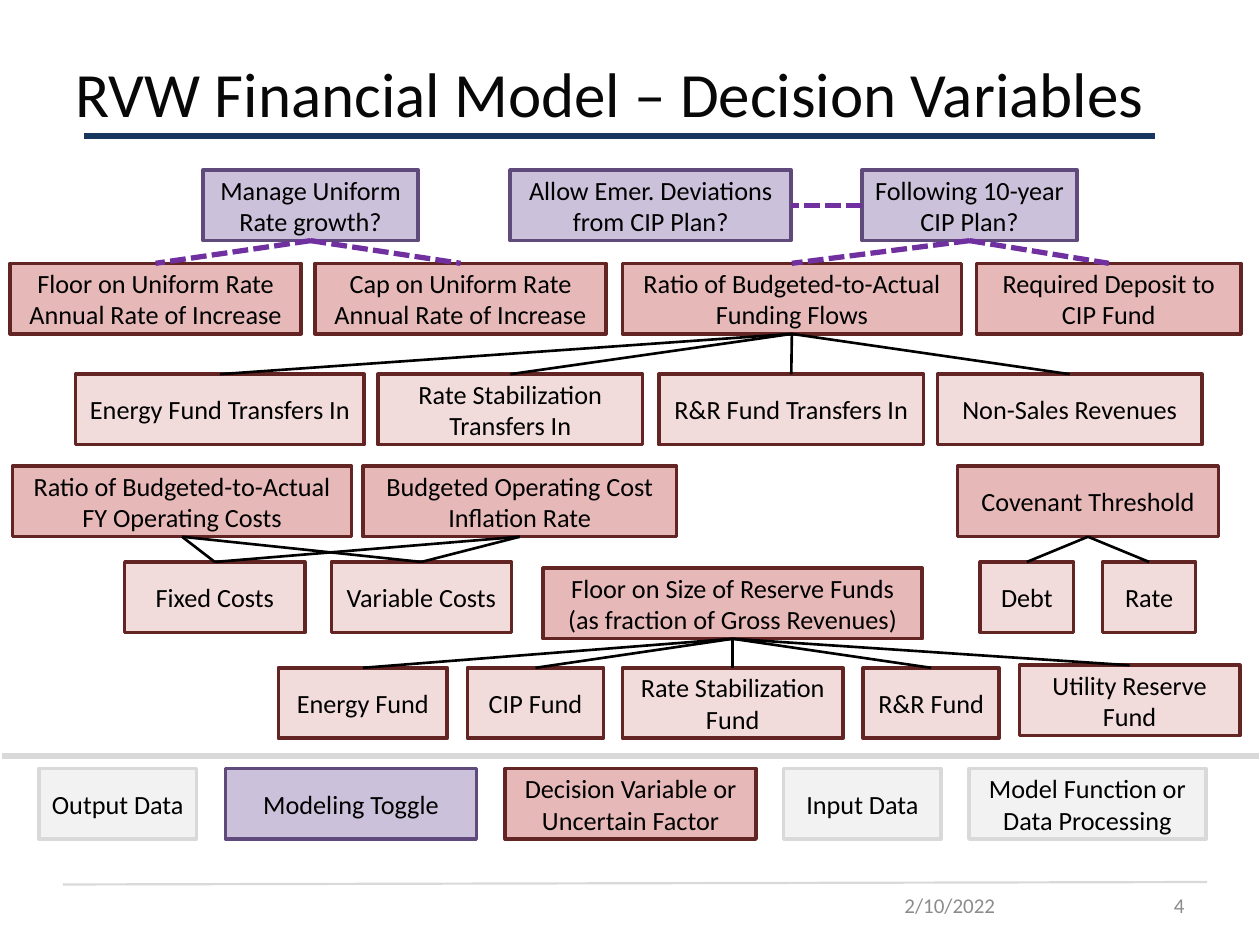
from pptx import Presentation
from pptx.dml.color import RGBColor
from pptx.enum.dml import MSO_LINE
from pptx.enum.shapes import MSO_CONNECTOR, MSO_SHAPE
from pptx.enum.text import MSO_ANCHOR, MSO_AUTO_SIZE, PP_ALIGN
from pptx.oxml.ns import qn
from pptx.util import Pt
from lxml.etree import SubElement

PX = 9144
BOX_H = 56
INSET = 8
FONT = "Calibri"

BLACK = RGBColor(0x00, 0x00, 0x00)
INK = RGBColor(0x08, 0x08, 0x08)
GRAY = RGBColor(0x8C, 0x8C, 0x8C)
SILVER = RGBColor(0xD9, 0xD9, 0xD9)
PALE = RGBColor(0xF2, 0xF2, 0xF2)
NAVY = RGBColor(0x17, 0x37, 0x5E)
LILAC = RGBColor(0xCC, 0xC1, 0xDA)
PLUM = RGBColor(0x60, 0x4A, 0x7B)
VIOLET = RGBColor(0x70, 0x30, 0xA0)
ROSE = RGBColor(0xE6, 0xB9, 0xB8)
BLUSH = RGBColor(0xF2, 0xDC, 0xDB)
MAROON = RGBColor(0x63, 0x25, 0x23)

TOGGLE = (LILAC, PLUM)
DECISION = (ROSE, MAROON)
DETAIL = (BLUSH, MAROON)
NEUTRAL = (PALE, SILVER)

TITLE = "RVW Financial Model – Decision Variables"

MANAGE = "Manage Uniform Rate growth?"
ALLOW = "Allow Emer. Deviations from CIP Plan?"
FOLLOW = "Following 10-year CIP Plan?"
FLOOR_RATE = "Floor on Uniform Rate Annual Rate of Increase"
CAP_RATE = "Cap on Uniform Rate Annual Rate of Increase"
FLOWS = "Ratio of Budgeted-to-Actual Funding Flows"
DEPOSIT = "Required Deposit to CIP Fund"
OPERATING = "Ratio of Budgeted-to-Actual FY Operating Costs"
INFLATION = "Budgeted Operating Cost Inflation Rate"
COVENANT = "Covenant Threshold"
RESERVES = "Floor on Size of Reserve Funds (as fraction of Gross Revenues)"

ROWS = [
    (135, TOGGLE, [(161, 171, MANAGE), (405, 223, ALLOW), (684, 171, FOLLOW)]),
    (209, DECISION, [(8, 231, FLOOR_RATE), (250, 231, CAP_RATE),
                     (494, 269, FLOWS), (775, 210, DEPOSIT)]),
    (297, DETAIL, [(60, 229, "Energy Fund Transfers In"),
                   (300, 210, "Rate Stabilization Transfers In"),
                   (523, 210, "R&R Fund Transfers In"),
                   (744, 210, "Non-Sales Revenues")]),
    (370, DECISION, [(10, 269, OPERATING), (288, 249, INFLATION), (760, 207, COVENANT)]),
    (446, DETAIL, [(99, 143, "Fixed Costs"), (263, 143, "Variable Costs"),
                   (778, 74, "Debt"), (875, 74, "Rate")]),
    (451, DECISION, [(431, 301, RESERVES)]),
    (530, DETAIL, [(221, 134, "Energy Fund"), (371, 108, "CIP Fund"),
                   (494, 175, "Rate Stabilization Fund"), (685, 108, "R&R Fund")]),
    (528, DETAIL, [(809, 175, "Utility Reserve Fund")]),
    (610, NEUTRAL, [(31, 125, "Output Data"), (622, 125, "Input Data"),
                    (769, 188, "Model Function or Data Processing")]),
    (610, TOGGLE, [(179, 199, "Modeling Toggle")]),
    (610, DECISION, [(401, 199, "Decision Variable or Uncertain Factor")]),
]

TOGGLE_LINKS = {MANAGE: [FLOOR_RATE, CAP_RATE], FOLLOW: [FLOWS, DEPOSIT]}
DETAIL_LINKS = {
    FLOWS: ["Energy Fund Transfers In", "Rate Stabilization Transfers In",
            "R&R Fund Transfers In", "Non-Sales Revenues"],
    OPERATING: ["Fixed Costs", "Variable Costs"],
    INFLATION: ["Fixed Costs", "Variable Costs"],
    COVENANT: ["Debt", "Rate"],
    RESERVES: ["Energy Fund", "CIP Fund", "Rate Stabilization Fund",
               "R&R Fund", "Utility Reserve Fund"],
}

RULES = [
    ((50, 702, 958, 700), SILVER, 1.25),
    ((67, 108, 917, 108), NAVY, 3),
    ((2, 600, 999, 600), SILVER, 3),
]
FOOTER = [((708, 704, 108, 29), "2/10/2022", PP_ALIGN.LEFT),
          ((825, 704, 125, 29), "4", PP_ALIGN.RIGHT)]


def write(sp, text, size, color, align):
    tf = sp.text_frame
    tf.word_wrap = True
    tf.auto_size = MSO_AUTO_SIZE.NONE
    tf.vertical_anchor = MSO_ANCHOR.MIDDLE
    p = tf.paragraphs[0]
    p.alignment = align
    r = p.add_run()
    r.text = text
    r.font.name = FONT
    r.font.size = Pt(size)
    r.font.color.rgb = color


def add_box(s, left, top, width, text, style):
    sp = s.shapes.add_shape(MSO_SHAPE.RECTANGLE, left * PX, top * PX, width * PX, BOX_H * PX)
    sp.shadow.inherit = False
    fill, edge = style
    sp.fill.solid()
    sp.fill.fore_color.rgb = fill
    sp.line.color.rgb = edge
    sp.line.width = Pt(2)
    write(sp, text, 15, BLACK, PP_ALIGN.CENTER)
    sp.text_frame.margin_left = sp.text_frame.margin_right = INSET * PX
    return sp


def add_line(s, ends, color, width, dash=None):
    line = s.shapes.add_connector(MSO_CONNECTOR.STRAIGHT, *(v * PX for v in ends))
    line.line.color.rgb = color
    line.line.width = Pt(width)
    if dash:
        line.line.dash_style = dash
    SubElement(line.element.spPr, qn("a:effectLst"))
    return line


def join(s, start, start_side, end, end_side, color, width, dash=None):
    line = add_line(s, (0, 0, 0, 0), color, width, dash)
    line.begin_connect(start, start_side)
    line.end_connect(end, end_side)


def main():
    prs = Presentation()
    prs.slide_width, prs.slide_height = 1000 * PX, 750 * PX
    s = prs.slides.add_slide(prs.slide_layouts[5])

    title = s.shapes.title
    title.left, title.top, title.width, title.height = (v * PX for v in (50, 30, 900, 87))
    write(title, TITLE, 36, INK, PP_ALIGN.LEFT)

    for ends, color, width in RULES:
        add_line(s, ends, color, width)
    for place, text, align in FOOTER:
        write(s.shapes.add_textbox(*(v * PX for v in place)), text, 12, GRAY, align)

    boxes = {text: add_box(s, left, top, width, text, style)
             for top, style, row in ROWS for left, width, text in row}

    toggle_pen = (VIOLET, 3, MSO_LINE.SQUARE_DOT)
    for links, pen in ((TOGGLE_LINKS, toggle_pen), (DETAIL_LINKS, (BLACK, 1.5))):
        for parent, children in links.items():
            for child in children:
                join(s, boxes[parent], 2, boxes[child], 0, *pen)
    join(s, boxes[FOLLOW], 1, boxes[ALLOW], 3, *toggle_pen)

    prs.save("out.pptx")


if __name__ == "__main__":
    main()
